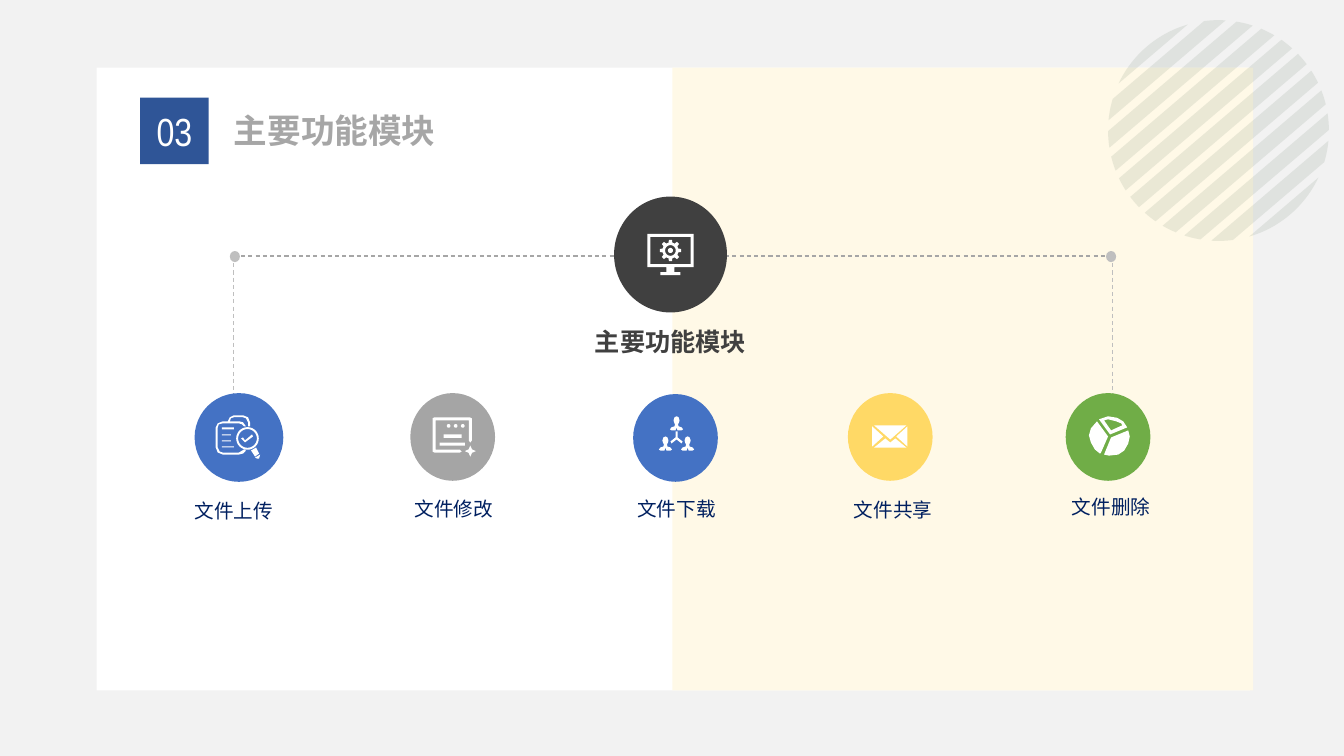
from math import acos, atan2, cos, pi, sin

from lxml.etree import SubElement
from pptx import Presentation
from pptx.dml.color import RGBColor
from pptx.enum.dml import MSO_LINE
from pptx.enum.shapes import MSO_CONNECTOR, MSO_SHAPE
from pptx.enum.text import MSO_ANCHOR, MSO_AUTO_SIZE, PP_ALIGN
from pptx.oxml.ns import qn
from pptx.util import Inches, Pt

BACKDROP = RGBColor(0xF2, 0xF2, 0xF2)
WHITE = RGBColor(0xFF, 0xFF, 0xFF)
CREAM = RGBColor(0xFF, 0xF9, 0xE7)
NAVY = RGBColor(0x2F, 0x55, 0x97)
BLUE = RGBColor(0x44, 0x72, 0xC4)
GREY = RGBColor(0xA5, 0xA5, 0xA5)
YELLOW = RGBColor(0xFF, 0xD9, 0x66)
GREEN = RGBColor(0x70, 0xAD, 0x47)
CHARCOAL = RGBColor(0x40, 0x40, 0x40)
LABEL = RGBColor(0x00, 0x20, 0x60)
TITLE_GREY = RGBColor(0xA6, 0xA6, 0xA6)
LINE_GREY = RGBColor(0xBF, 0xBF, 0xBF)
SAGE = RGBColor(0x74, 0x87, 0x73)
CJK = "Noto Sans CJK SC"


# Contour helpers: icon units are hundredths of an inch
def box(left, top, right, bottom):
    return [(left, top), (right, top), (right, bottom), (left, bottom)]


def ring(x, y, radius, points=32):
    return [(x + radius * cos(2 * pi * i / points), y + radius * sin(2 * pi * i / points))
            for i in range(points)]


def gear(x, y, outer, inner, teeth=8):
    contour = []
    for tooth in range(teeth):
        for shift, radius in ((-.3, inner), (-.18, outer), (.18, outer), (.3, inner)):
            angle = 2 * pi * (tooth + shift) / teeth
            contour.append((x + radius * cos(angle), y + radius * sin(angle)))
    return contour


def person(x, y):
    half = [(0, 0), (2, 1), (3, 4), (2.5, 6), (1.5, 8), (2, 10), (5, 11), (6.5, 13),
            (5, 14), (1, 14), (0, 11)]
    return [(x + dx, y + dy) for dx, dy in half] + [(x - dx, y + dy) for dx, dy in half[::-1]]


# Content: icons as contours
UPLOAD_ICON = [
    [(28, 34), (30, 35), (27, 38), (23, 39), (7, 39), (2, 37), (0, 32), (0, 12), (2, 8),
     (7, 6), (12, 6), (14, 2), (18, 0), (27, 0), (32, 2), (34, 7), (34, 11), (32, 11),
     (32, 7), (30, 3), (27, 2), (18, 2), (15, 3), (14, 6), (23, 6), (27, 7), (30, 11),
     (28, 11), (26, 9), (23, 8), (7, 8), (3, 9), (2, 12), (2, 32), (4, 36), (7, 37),
     (23, 37)],
    box(6, 12, 18, 14), box(6, 19, 15, 20), box(6, 25, 15, 26), box(6, 31, 18, 32),
    ring(31.5, 23, 11.2), ring(31.5, 23, 9.3),
    [(29, 25), (27, 22), (25, 23), (29, 27), (37, 21), (36, 19)],
    [(40, 32), (35, 35), (39, 41), (43, 38)],
    [(44, 39), (39, 42), (41, 43), (43, 43)],
]
EDIT_ICON = [
    [(2, 0), (37, 0), (39, 1), (39, 23), (37.5, 25), (36, 23), (36, 3), (3, 3), (3, 32),
     (27, 32), (29, 34), (27, 35), (2, 35), (0, 34), (0, 1)],
    box(7, 25, 32, 28), box(11, 17, 29, 20.5),
    *[ring(x, 8.5, 1.8) for x in (16, 23, 30)],
    [(37.5, 28), (39.2, 31.8), (43, 33.5), (39.2, 35.2), (37.5, 39), (35.8, 35.2),
     (32, 33.5), (35.8, 31.8)],
]
DOWNLOAD_ICON = [
    person(18, 0), person(7, 20), person(29, 20),
    [(17, 15), (19, 15), (19, 21), (24, 25), (23, 27), (18, 23), (13, 27), (12, 25), (17, 21)],
]
SHARE_ICON = [
    [(13, 13), (18, 17), (23, 13), (34, 22), (2, 22)],
    [(35, 1), (35, 21), (24, 11)], [(0, 1), (11, 11), (0, 21)], [(2, 0), (34, 0), (18, 14)],
]
DELETE_ICON = [
    [(22, 22), (15, 39), (20, 40), (29, 39), (35, 35), (39, 28), (40.5, 21), (39, 15)],
    [(21, 19), (38, 12), (34, 6), (28, 2.5), (19, 1), (10, 4)],
    [(22, 15), (15, 5), (19, 4), (27, 6), (32, 8), (33, 10)],
    [(12, 37), (19, 21), (8, 6), (2, 13), (0, 20), (2, 27), (6, 34), (11, 38)],
]
MONITOR_ICON = [
    box(0, 0, 46, 33), box(3, 3, 43, 30), box(19, 33, 27, 38), box(13, 38, 33, 41),
    gear(23, 16.5, 10.7, 8), ring(23, 16.5, 5.3), ring(23, 16.5, 2.5),
]

HEADING = "主要功能模块"
# Label, its left and top; disc box; colour; icon corner and contours
MODULES = [
    ("文件上传", 1.44, 4.87, (1.93, 3.9, .88, .88), BLUE, (2.14, 4.12), UPLOAD_ICON),
    ("文件修改", 3.62, 4.85, (4.07, 3.9, .84, .87), GREY, (4.29, 4.14), EDIT_ICON),
    ("文件下载", 5.83, 4.85, (6.28, 3.91, .84, .87), BLUE, (6.53, 4.13), DOWNLOAD_ICON),
    ("文件共享", 7.98, 4.86, (8.41, 3.9, .84, .87), YELLOW, (8.65, 4.22), SHARE_ICON),
    ("文件删除", 10.14, 4.83, (10.57, 3.9, .84, .87), GREEN, (10.8, 4.12), DELETE_ICON),
]
BRANCH_LEFT, BRANCH_RIGHT, BRANCH_TOP, BRANCH_BOTTOM = 2.32, 11.03, 2.54, 4.35

presentation = Presentation()
presentation.slide_width, presentation.slide_height = Inches(13.33), Inches(7.5)
slide = presentation.slides.add_slide(presentation.slide_layouts[5])
slide.background.fill.solid()
slide.background.fill.fore_color.rgb = BACKDROP
shapes = slide.shapes


def paint(shape, color):
    shape.shadow.inherit = False
    shape.fill.solid()
    shape.fill.fore_color.rgb = color
    shape.line.fill.background()
    return shape


def add_preset(kind, bounds, color):
    return paint(shapes.add_shape(kind, *map(Inches, bounds)), color)


def add_outline(corner, contours, color):
    placed = [[(Inches(corner[0] + x / 100), Inches(corner[1] + y / 100)) for x, y in contour]
              for contour in contours]
    builder = shapes.build_freeform(*placed[0][0], scale=1.0)
    for contour in placed:
        builder.move_to(*contour[0])
        builder.add_line_segments(contour[1:], close=True)
    return paint(builder.convert_to_shape(), color)


def add_line(x1, y1, x2, y2, color):
    line = shapes.add_connector(MSO_CONNECTOR.STRAIGHT, *map(Inches, (x1, y1, x2, y2)))
    line.line.color.rgb, line.line.width = color, Pt(.75)
    line.line.dash_style = MSO_LINE.DASH
    SubElement(line.element.spPr, qn("a:effectLst"))


def write(shape, text, size, color, font=CJK, bold=False, align=PP_ALIGN.CENTER,
          spacing=1.0, inset=0):
    frame = shape.text_frame
    frame.text = text
    frame.word_wrap, frame.auto_size = True, MSO_AUTO_SIZE.NONE
    frame.vertical_anchor = MSO_ANCHOR.MIDDLE
    frame.margin_left = frame.margin_right = Inches(inset)
    frame.margin_top = frame.margin_bottom = 0
    paragraph = frame.paragraphs[0]
    paragraph.alignment, paragraph.line_spacing = align, spacing
    run = paragraph.runs[0]
    run.font.size, run.font.bold, run.font.name = Pt(size), bold, font
    run.font.color.rgb = color
    SubElement(run.font._element, qn("a:ea")).set("typeface", font)


def add_text(bounds, *content, **style):
    write(shapes.add_textbox(*map(Inches, bounds)), *content, **style)


# Panels, title and section number
title = shapes.title
card = add_preset(MSO_SHAPE.RECTANGLE, (.96, .67, 11.44, 6.18), WHITE)
title.element.addprevious(card.element)
title.left, title.top, title.width, title.height = map(Inches, (2.22, 1.04, 5.5, .5))
write(title, HEADING, 24, TITLE_GREY, bold=True, align=PP_ALIGN.LEFT, inset=.1)
badge = add_preset(MSO_SHAPE.RECTANGLE, (1.39, .97, .68, .66), NAVY)
write(badge, "03", 28, WHITE, font="Arial Narrow")
add_preset(MSO_SHAPE.RECTANGLE, (6.67, .67, 5.76, 6.18), CREAM)

# Striped disc: parallel bands cut from a circle
RADIUS, PITCH, HALF_BAND, STEPS = 109.5, 21.3, 6.7, 12
normal = atan2(1, .853)
stripes = []
for band in range(-5, 6):
    near = max(band * PITCH - HALF_BAND, -RADIUS)
    far = min(band * PITCH + HALF_BAND, RADIUS)
    start, end = acos(far / RADIUS), acos(near / RADIUS)
    if abs(band) == 5:
        start, end = (0, end) if band > 0 else (start, pi)
    sweep = [start + (end - start) * i / STEPS for i in range(STEPS + 1)]
    angles = [normal + a for a in sweep] + [normal - a for a in reversed(sweep)]
    stripes.append([(RADIUS * cos(a), RADIUS * sin(a)) for a in angles])
disc = add_outline((12.085, 1.295), stripes, SAGE)
disc_color = disc.fill._xPr.find(qn("a:solidFill"))[0]
SubElement(disc_color, qn("a:alpha")).set("val", "15000")

# Branch lines and end dots
add_line(BRANCH_LEFT, BRANCH_TOP, BRANCH_RIGHT, BRANCH_TOP, TITLE_GREY)
for x, dot_left in ((BRANCH_LEFT, 2.28), (BRANCH_RIGHT, 10.97)):
    add_line(x, BRANCH_TOP, x, BRANCH_BOTTOM, LINE_GREY)
    add_preset(MSO_SHAPE.OVAL, (dot_left, 2.49, .1, .11), LINE_GREY)

# Central hub
add_preset(MSO_SHAPE.OVAL, (6.09, 1.95, 1.12, 1.15), CHARCOAL)
add_outline((6.42, 2.32), MONITOR_ICON, WHITE)
add_text((5.45, 3.14, 2.4, .44), HEADING, 18, CHARCOAL, bold=True, spacing=1.2)

# Five modules
for label, left, top, bounds, color, corner, icon in MODULES:
    add_preset(MSO_SHAPE.OVAL, bounds, color)
    add_outline(corner, icon, WHITE)
    add_text((left, top, 1.76, .35), label, 14, LABEL, spacing=1.14)

presentation.save("out.pptx")
